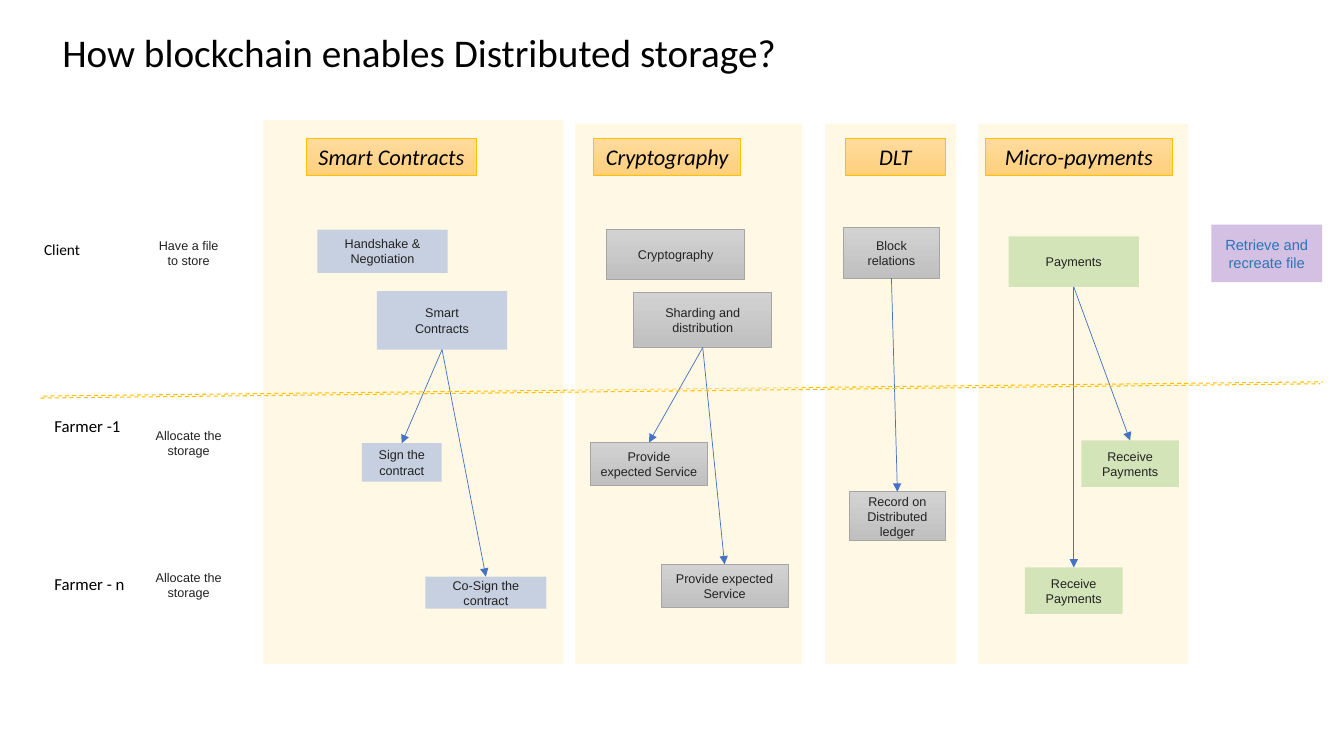
from lxml.etree import SubElement
from pptx import Presentation
from pptx.dml.color import RGBColor
from pptx.enum.dml import MSO_LINE
from pptx.enum.shapes import MSO_CONNECTOR, MSO_SHAPE
from pptx.enum.text import MSO_ANCHOR, PP_ALIGN
from pptx.oxml.ns import qn
from pptx.util import Cm, Pt

COLORS = {
    "black": "000000", "body": "222222", "lane": "FFF2CC", "gold": "FFC000",
    "head_top": "FFDB9E", "head_end": "FFD07C", "blue": "8FAADC",
    "green": "A9D18E", "gray_top": "D2D2D2", "gray_end": "C0C0C0",
    "gray_line": "A5A5A5", "purple": "7030A0", "link": "2E75B6",
    "arrow": "4472C4",
}

STYLES = {
    "lane": {"fill": "lane", "alpha": 50},
    "head": {"gradient": ("head_top", "head_end"), "line": "gold"},
    "blue": {"fill": "blue", "alpha": 50},
    "green": {"fill": "green", "alpha": 50},
    "gray": {"gradient": ("gray_top", "gray_end"), "line": "gray_line"},
    "purple": {"fill": "purple", "alpha": 30},
}

SMART = {
    "box": (6.63, 3.02, 7.57, 13.72), "style": "blue",
    "head": ("Smart Contracts", 1.09, 0.46, 4.29),
    "steps": [
        ("Handshake &\nNegotiation", 1.37, 2.77, 3.28, 1.09),
        ("Smart\nContracts", 2.87, 4.32, 3.28, 1.47),
        ("Sign the contract", 2.49, 8.15, 2.01, 0.97),
        ("Co-Sign the contract", 4.09, 11.51, 3.05, 0.81),
    ],
    "arrows": [(1, 2), (1, 3)],
}
CRYPTO = {
    "box": (14.5, 3.12, 5.72, 13.61), "style": "gray",
    "head": ("Cryptography", 0.46, 0.36, 3.71),
    "steps": [
        ("Cryptography", 0.79, 2.67, 3.48, 1.24),
        ("Sharding and distribution", 1.47, 4.24, 3.48, 1.4),
        ("Provide expected Service", 0.38, 8.03, 2.95, 1.09),
        ("Provide expected Service", 2.16, 11.1, 3.2, 1.09),
    ],
    "arrows": [(1, 2), (1, 3)],
}
DLT = {
    "box": (20.8, 3.12, 3.3, 13.61), "style": "gray",
    "head": ("DLT", 0.51, 0.36, 2.51),
    "steps": [
        ("Block relations", 0.46, 2.62, 2.41, 1.27),
        ("Record on\nDistributed ledger", 0.61, 9.27, 2.41, 1.24),
    ],
    "arrows": [(0, 1)],
}
PAYMENTS = {
    "box": (24.66, 3.12, 5.28, 13.61), "style": "green",
    "head": ("Micro-payments", 0.18, 0.36, 4.7),
    "steps": [
        ("Payments", 0.76, 2.84, 3.28, 1.27),
        ("Receive Payments", 2.59, 7.98, 2.46, 1.17),
        ("Receive Payments", 1.17, 11.18, 2.46, 1.17),
    ],
    "arrows": [(0, 1), (0, 2)],
}


def rgb(name):
    return RGBColor.from_string(COLORS[name])


def write(sp, text, size, font="Arial", color="body", italic=False,
          align=PP_ALIGN.CENTER, anchor=MSO_ANCHOR.MIDDLE, wrap=True):
    tf = sp.text_frame
    tf.word_wrap = wrap
    tf.vertical_anchor = anchor
    for i, line in enumerate(text.split("\n")):
        p = tf.paragraphs[0] if i == 0 else tf.add_paragraph()
        p.alignment = align
        r = p.add_run()
        r.text = line
        r.font.size = Pt(size)
        r.font.name = font
        r.font.italic = italic
        r.font.color.rgb = rgb(color)


def add_text(s, box, text, size, **options):
    sp = s.shapes.add_textbox(*map(Cm, box))
    write(sp, text, size, **options)


def add_box(s, box, style):
    look = STYLES[style]
    sp = s.shapes.add_shape(MSO_SHAPE.RECTANGLE, *map(Cm, box))
    sp.shadow.inherit = False
    if "gradient" in look:
        sp.fill.gradient()
        sp.fill.gradient_angle = 270
        for stop, name in zip(sp.fill.gradient_stops, look["gradient"]):
            stop.color.rgb = rgb(name)
        sp.line.color.rgb = rgb(look["line"])
        sp.line.width = Pt(0.5)
    else:
        sp.fill.solid()
        sp.fill.fore_color.rgb = rgb(look["fill"])
        color = next(sp._element.spPr.iter(qn("a:srgbClr")))
        SubElement(color, qn("a:alpha"), val=str(look["alpha"] * 1000))
        sp.line.fill.background()
    return sp


def add_line(s, ends, color, width):
    line = s.shapes.add_connector(MSO_CONNECTOR.STRAIGHT, *map(Cm, ends))
    line.line.color.rgb = rgb(color)
    line.line.width = Pt(width)
    SubElement(line._element.spPr, qn("a:effectLst"))
    return line


def add_arrow(s, source, target):
    arrow = add_line(s, (0, 0, 0, 0), "arrow", 0.5)
    arrow.begin_connect(source, 2)
    arrow.end_connect(target, 0)
    SubElement(arrow.line._get_or_add_ln(), qn("a:tailEnd"), type="triangle")


def add_divider(s, x, y):
    line = add_line(s, (x, y, x + 32.25, y - 0.36), "gold", 0.75)
    line.line.dash_style = MSO_LINE.DASH


def add_lane(s, lane):
    x, y = lane["box"][:2]
    add_box(s, lane["box"], "lane")
    title, dx, dy, w = lane["head"]
    write(add_box(s, (x + dx, y + dy, w, 0.94), "head"), title, 16,
          font="Calibri", color="black", italic=True)
    steps = []
    for text, dx, dy, w, h in lane["steps"]:
        sp = add_box(s, (x + dx, y + dy, w, h), lane["style"])
        write(sp, text, 9)
        steps.append(sp)
    for source, target in lane["arrows"]:
        add_arrow(s, steps[source], steps[target])


def add_actor(s, x, y, name, size, note, note_y):
    add_text(s, (x, y, 2.3, 0.76), name, size, font="Calibri", color="black",
             align=PP_ALIGN.LEFT, anchor=MSO_ANCHOR.TOP, wrap=False)
    add_text(s, (3.61, note_y, 2.29, 1.04), note, 9)


def build_slide(prs):
    s = prs.slides.add_slide(prs.slide_layouts[6])
    add_text(s, (1.32, 0.86, 29.21, 0.91),
             "How blockchain enables Distributed storage?", 28,
             font="Calibri", color="black", align=PP_ALIGN.LEFT)
    add_actor(s, 0.86, 5.92, "Client", 11, "Have a file to store", 5.85)
    add_actor(s, 1.12, 10.36, "Farmer -1", 12, "Allocate the storage", 10.64)
    add_actor(s, 1.12, 14.33, "Farmer - n", 12, "Allocate the storage", 14.22)
    for lane in (DLT, PAYMENTS, SMART):
        add_lane(s, lane)
    add_divider(s, 1.09, 9.98)
    add_lane(s, CRYPTO)
    add_divider(s, 1.02, 10.03)
    write(add_box(s, (30.53, 5.66, 2.79, 1.45), "purple"),
          "Retrieve and recreate file", 10.5, color="link")


def main():
    prs = Presentation()
    prs.slide_width, prs.slide_height = Cm(33.87), Cm(19.05)
    build_slide(prs)
    prs.save("out.pptx")


if __name__ == "__main__":
    main()
